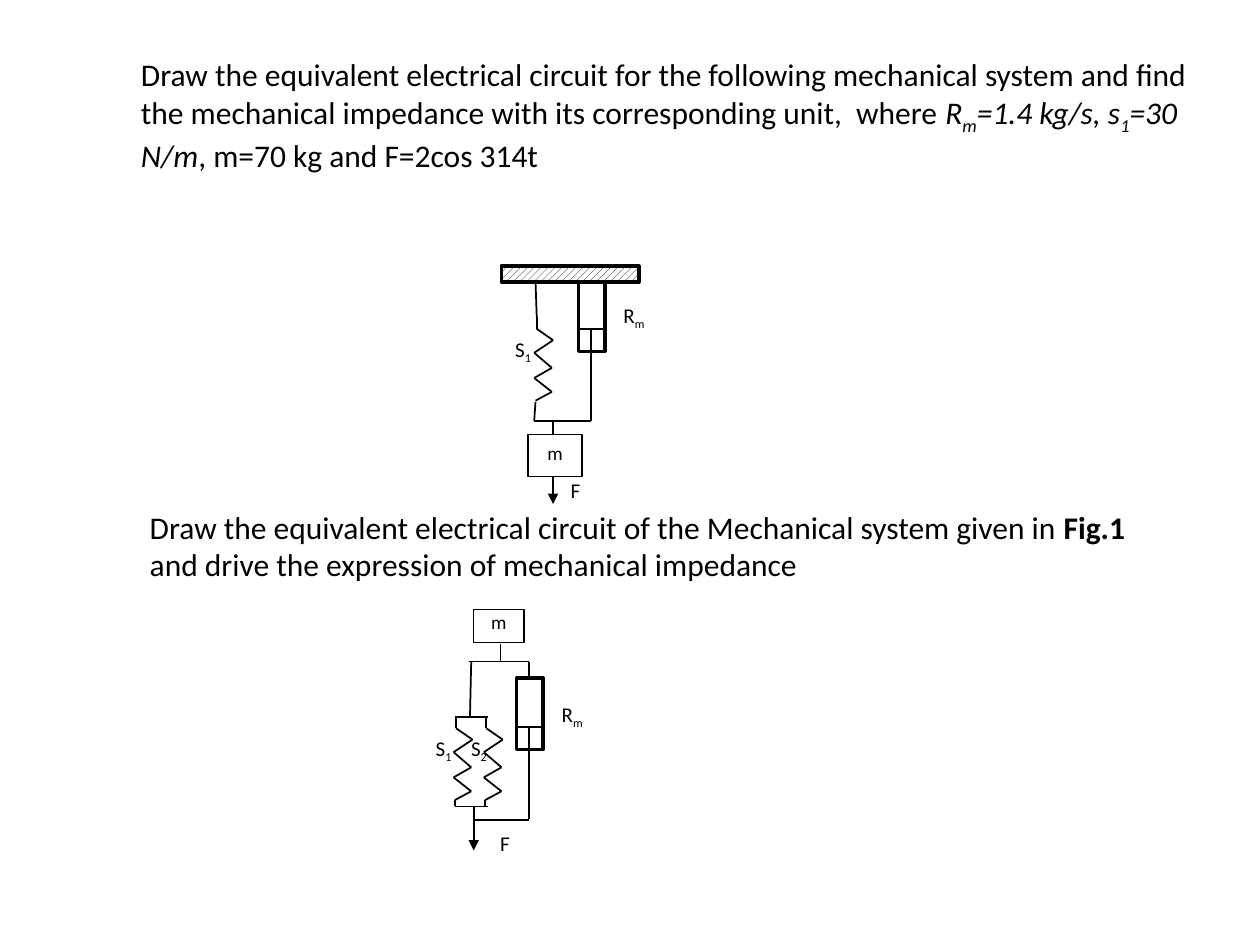
import pptx
import pptx.dml.color
import pptx.enum.dml
import pptx.enum.shapes
import pptx.enum.text
import pptx.oxml.ns
import pptx.util
from lxml import etree

BLACK, WHITE = "000000", "FFFFFF"
FONT = "Calibri"
COLUMNS = 1000  # the slide is a grid of 1000 columns by 750 rows
SLIDE_WIDTH, SLIDE_HEIGHT = pptx.util.Inches(10), pptx.util.Inches(7.5)

# Corners of a spring, from its top end
SPRING = [(0, 0), (13, 9), (-2, 19), (12, 31), (-2, 39), (12, 50), (-1, 57)]


def grid(*cells):
    return [round(cell * SLIDE_WIDTH / COLUMNS) for cell in cells]


def color(code):
    return pptx.dml.color.RGBColor.from_string(code)


def add_xml(parent, tag, **attributes):
    etree.SubElement(parent, pptx.oxml.ns.qn(tag), **attributes)


def write(frame, runs, size, space_after=0, centered=False):
    """Runs are (text, style); style letters: i italic, b bold, s subscript."""
    frame.word_wrap = True
    frame.vertical_anchor = pptx.enum.text.MSO_ANCHOR.TOP
    para = frame.paragraphs[0]
    para.font.name = FONT
    para.font.size = pptx.util.Pt(size)
    para.font.color.rgb = color(BLACK)
    para.space_after = pptx.util.Pt(space_after)
    align = pptx.enum.text.PP_ALIGN
    para.alignment = align.CENTER if centered else align.LEFT
    for text, style in runs:
        span = para.add_run()
        span.text = text
        if "i" in style:
            span.font.italic = True
        if "b" in style:
            span.font.bold = True
        if "s" in style:
            span.font._element.set("baseline", "-25000")


def add_question(page, box, runs):
    shape = page.shapes.add_textbox(*grid(*box))
    write(shape.text_frame, runs, 18)
    shape.text_frame.auto_size = pptx.enum.text.MSO_AUTO_SIZE.SHAPE_TO_FIT_TEXT


def add_label(page, left, top, width, height, letter, index=""):
    shape = page.shapes.add_textbox(*grid(left, top, width, height))
    runs = [(letter, "")] + ([(index, "s")] if index else [])
    write(shape.text_frame, runs, 12, space_after=10)


def add_box(page, left, top, width, height, weight):
    shape = page.shapes.add_shape(
        pptx.enum.shapes.MSO_SHAPE.RECTANGLE, *grid(left, top, width, height))
    shape.shadow.inherit = False
    shape.fill.background()
    shape.line.color.rgb = color(BLACK)
    shape.line.width = pptx.util.Pt(weight)
    return shape


def add_mass(page, left, top, width, height, inset):
    shape = add_box(page, left, top, width, height, 0.75)
    shape.fill.solid()
    shape.fill.fore_color.rgb = color(WHITE)
    frame = shape.text_frame
    frame.margin_top = frame.margin_bottom = grid(inset)[0]
    frame.margin_left = frame.margin_right = grid(2 * inset)[0]
    write(frame, [("m", "")], 11, space_after=10, centered=True)


def add_path(page, *points, weight=1, arrow=False):
    """Joins the points, in order, by straight lines."""
    for start, end in zip(points, points[1:]):
        line = page.shapes.add_connector(
            pptx.enum.shapes.MSO_CONNECTOR.STRAIGHT, *grid(*start, *end))
        line.line.color.rgb = color(BLACK)
        line.line.width = pptx.util.Pt(weight)
        if arrow:
            add_xml(line.line._get_or_add_ln(), "a:tailEnd", type="triangle")
        add_xml(line._element.spPr, "a:effectLst")


def add_spring(page, left, top):
    add_path(page, *[(left + x, top + y) for x, y in SPRING])


def add_damper(page, left, top):
    """Cylinder, piston and rod; the rod ends 112 rows below the top."""
    add_box(page, left, top, 21, 57, 2)
    add_path(page, (left, top + 39), (left + 22, top + 39))
    add_path(page, (left + 10, top + 40), (left + 10, top + 112))


def add_hanging_system(page, left, top):
    def at(x, y):
        return left + x, top + y

    # Ceiling with the damper below it
    add_damper(page, *at(61, 11))
    ceiling = add_box(page, left, top, 109, 13, 2)
    ceiling.fill.patterned()
    ceiling.fill.pattern = pptx.enum.dml.MSO_PATTERN.WIDE_UPWARD_DIAGONAL
    ceiling.fill.fore_color.rgb = color(BLACK)
    ceiling.fill.back_color.rgb = color(WHITE)
    # Spring, and the bar that joins it to the damper
    add_path(page, at(27, 12), at(28, 41), at(28, 50))
    add_spring(page, *at(28, 50))
    add_path(page, at(27, 108), at(26, 123), at(71, 123))
    # Mass and force
    add_path(page, at(41, 123), at(41, 134))
    add_path(page, at(41, 151), at(41, 189), arrow=True)
    add_mass(page, *at(21, 134), 43, 33, inset=5)
    add_label(page, *at(1, 51), 44, 30, "S", "1")
    add_label(page, *at(87, 24), 44, 35, "R", "m")
    add_label(page, *at(45, 163), 25, 26, "F")


def add_standing_system(page, left, top):
    def at(x, y):
        return left + x, top + y

    # Mass on the upper bar
    add_mass(page, *at(40, 0), 40, 26, inset=0)
    add_path(page, at(61, 41), at(61, 27), weight=0.75)
    add_path(page, at(36, 41), at(84, 41), at(84, 55))
    add_path(page, at(38, 41), at(37, 85))
    # Two springs side by side
    for x, index, label_x in ((26, "1", 0), (50, "2", 28)):
        add_path(page, at(x, 85), at(x, 94))
        add_spring(page, *at(x, 94))
        add_path(page, at(x - 1, 151), at(x - 1, 156))
        add_label(page, *at(label_x, 95), 44, 30, "S", index)
    for y in (85, 156):
        add_path(page, at(25, y), at(51, y))
    # Damper, lower bar and force
    add_damper(page, *at(74, 54))
    add_path(page, at(39, 167), at(84, 167))
    add_path(page, at(40, 156), at(40, 191), arrow=True)
    add_label(page, *at(100, 68), 44, 35, "R", "m")
    add_label(page, *at(51, 170), 25, 26, "F")


def main():
    deck = pptx.Presentation()
    deck.slide_width, deck.slide_height = SLIDE_WIDTH, SLIDE_HEIGHT
    page = deck.slides.add_slide(deck.slide_layouts[6])

    add_question(page, (102, 39, 875, 101), [
        ("Draw the equivalent electrical circuit for the following mechanical "
         "system and find the mechanical impedance with its corresponding "
         "unit,  where ", ""),
        ("R", "i"), ("m", "is"), ("=1.4 kg/s, s", "i"), ("1", "is"),
        ("=30 N/m", "i"), (", m=70 kg and F=2cos 314t", "")])
    add_hanging_system(page, 398, 211)

    add_question(page, (109, 398, 813, 71), [
        ("Draw the equivalent electrical circuit of the Mechanical system "
         "given in ", ""),
        ("Fig.1", "b"),
        (" and drive the expression of mechanical impedance", "")])
    add_standing_system(page, 336, 484)

    deck.save("out.pptx")


if __name__ == "__main__":
    main()
